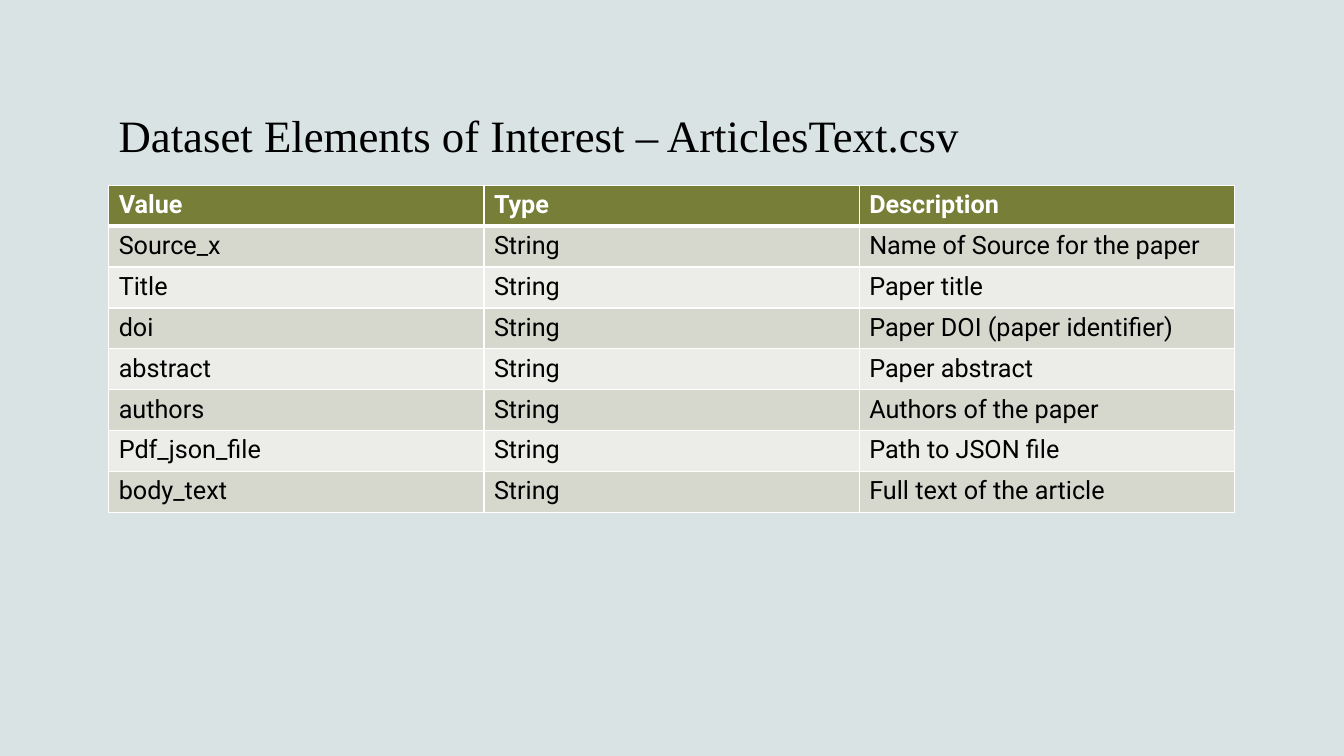
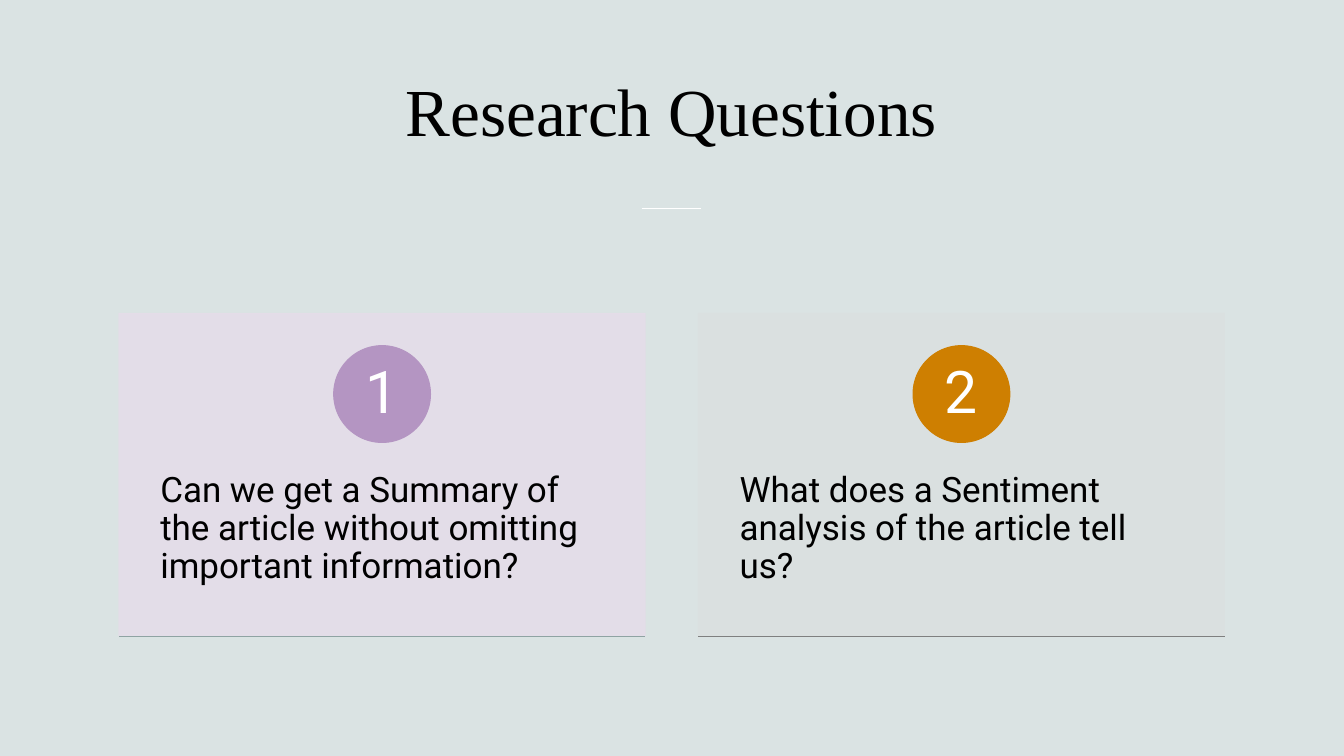
from lxml import etree
from pptx import Presentation, util as u
from pptx.dml.color import RGBColor
from pptx.enum import shapes, text
from pptx.oxml.ns import qn

Cm, Pt = u.Cm, u.Pt

# Shared style
BACKGROUND, BLACK, WHITE = "DAE3E3", "000000", "FFFFFF"
TITLE_FONT, BODY_FONT = "Times New Roman", "Roboto"
MARGIN, CONTENT_WIDTH = 2.74, 28.37

# Content
TABLE_TITLE = "Dataset Elements of Interest – ArticlesText.csv"
TABLE_ROWS = [
    ("Value", "Type", "Description"),
    ("Source_x", "String", "Name of Source for the paper"),
    ("Title", "String", "Paper title"),
    ("doi", "String", "Paper DOI (paper identifier)"),
    ("abstract", "String", "Paper abstract"),
    ("authors", "String", "Authors of the paper"),
    ("Pdf_json_file", "String", "Path to JSON file"),
    ("body_text", "String", "Full text of the article"),
]
HEADER_FILL, BAND_FILLS = "767E37", ("ECECE8", "D6D8CE")

QUESTIONS_TITLE = "Research Questions"
# Question, panel colour, badge colour, baseline colour
QUESTIONS = [
    ("Can we get a Summary of the article without omitting important information?",
     "E5DDE9", "B495C2", "8FA3A3"),
    ("What does a Sentiment analysis of the article tell us?",
     "DBE0E0", "CE7F01", "7F8080"),
]


def color(value):
    return RGBColor.from_string(value)


def paint(fill, value):
    fill.solid()
    fill.fore_color.rgb = color(value)


def write(frame, words, size, font, ink, bold=False, align=text.PP_ALIGN.LEFT, spacing=1.0):
    para = frame.paragraphs[0]
    para.alignment, para.line_spacing = align, spacing
    span = para.add_run()
    span.text = words
    span.font.size, span.font.name, span.font.bold = Pt(size), font, bold
    span.font.color.rgb = color(ink)


def add_page(deck):
    page = deck.slides.add_slide(deck.slide_layouts[6])
    paint(page.background.fill, BACKGROUND)
    return page


def add_title(page, words, top, height, size, anchor, align):
    box = page.shapes.add_textbox(Cm(MARGIN), Cm(top), Cm(CONTENT_WIDTH), Cm(height))
    frame = box.text_frame
    frame.word_wrap, frame.vertical_anchor = True, anchor
    write(frame, words, size, TITLE_FONT, BLACK, align=align)


def add_rule(page, left, top, width, ink, weight):
    rule = page.shapes.add_connector(
        shapes.MSO_CONNECTOR.STRAIGHT, Cm(left), Cm(top), Cm(left + width), Cm(top))
    rule.line.color.rgb, rule.line.width = color(ink), Pt(weight)
    etree.SubElement(rule.element.spPr, qn("a:effectLst"))


def add_block(page, kind, left, top, width, height, fill):
    block = page.shapes.add_shape(kind, Cm(left), Cm(top), Cm(width), Cm(height))
    block.shadow.inherit = False
    paint(block.fill, fill)
    paint(block.line.fill, fill)
    block.line.width = Pt(0.75)
    return block


def set_insets(frame, side, top, bottom):
    frame.margin_left = frame.margin_right = Cm(side)
    frame.margin_top, frame.margin_bottom = Cm(top), Cm(bottom)


def set_opacity(shape, percent):
    for fill_color in shape.element.spPr.iter(qn("a:srgbClr")):
        etree.SubElement(fill_color, qn("a:alpha"), val=str(percent * 1000))


def add_borders(cell, **weights):
    properties = cell._tc.get_or_add_tcPr()
    for index, (side, weight) in enumerate(weights.items()):
        border = etree.Element(qn(f"a:ln{side}"), w=str(Pt(weight)))
        fill = etree.SubElement(border, qn("a:solidFill"))
        etree.SubElement(fill, qn("a:srgbClr"), val=WHITE)
        properties.insert(index, border)


def build_table_page(deck):
    page = add_page(deck)
    add_title(page, TABLE_TITLE, 1.09, 3.1, 32, text.MSO_ANCHOR.BOTTOM, text.PP_ALIGN.LEFT)
    row_height = 1.03
    table = page.shapes.add_table(
        len(TABLE_ROWS), len(TABLE_ROWS[0]), Cm(MARGIN), Cm(4.67),
        Cm(CONTENT_WIDTH), Cm(row_height * len(TABLE_ROWS))).table
    for r, row in enumerate(TABLE_ROWS):
        header = r == 0
        for c, words in enumerate(row):
            cell = table.cell(r, c)
            paint(cell.fill, HEADER_FILL if header else BAND_FILLS[r % 2])
            add_borders(cell, L=1, R=1, T=3 if r == 1 else 1, B=3 if header else 1)
            write(cell.text_frame, words, 18, BODY_FONT, WHITE if header else BLACK, header)


def build_questions_page(deck):
    page = add_page(deck)
    add_title(page, QUESTIONS_TITLE, 0.83, 3.86, 48, text.MSO_ANCHOR.MIDDLE,
              text.PP_ALIGN.CENTER)
    add_rule(page, 16.17, 5.26, 1.5, WHITE, 1)

    first_left, top, width, height, pitch = 3, 7.9, 13.26, 8.13, 14.6
    badge_top, badge_size = 8.71, 2.44
    for i, (question, panel_fill, badge_fill, rule_ink) in enumerate(QUESTIONS):
        left = first_left + i * pitch
        # Panel with its question below the badge
        panel = add_block(page, shapes.MSO_SHAPE.RECTANGLE, left, top, width, height, panel_fill)
        set_opacity(panel, 90)
        frame = panel.text_frame
        frame.word_wrap, frame.vertical_anchor = True, text.MSO_ANCHOR.TOP
        set_insets(frame, 1.04, 4.01, 0.91)
        write(frame, question, 25, BODY_FONT, BLACK, spacing=0.9)
        # Numbered badge
        badge = add_block(page, shapes.MSO_SHAPE.OVAL, left + (width - badge_size) / 2,
                          badge_top, badge_size, badge_size, badge_fill)
        frame = badge.text_frame
        frame.word_wrap, frame.vertical_anchor = False, text.MSO_ANCHOR.MIDDLE
        set_insets(frame, 0, 0, 0)
        write(frame, str(i + 1), 42, BODY_FONT, WHITE, align=text.PP_ALIGN.CENTER, spacing=0.9)
        add_rule(page, left, top + height, width, rule_ink, 0.75)


def main():
    deck = Presentation()
    deck.slide_width, deck.slide_height = Cm(33.87), Cm(19.05)
    build_table_page(deck)
    build_questions_page(deck)
    deck.save("out.pptx")


if __name__ == "__main__":
    main()
